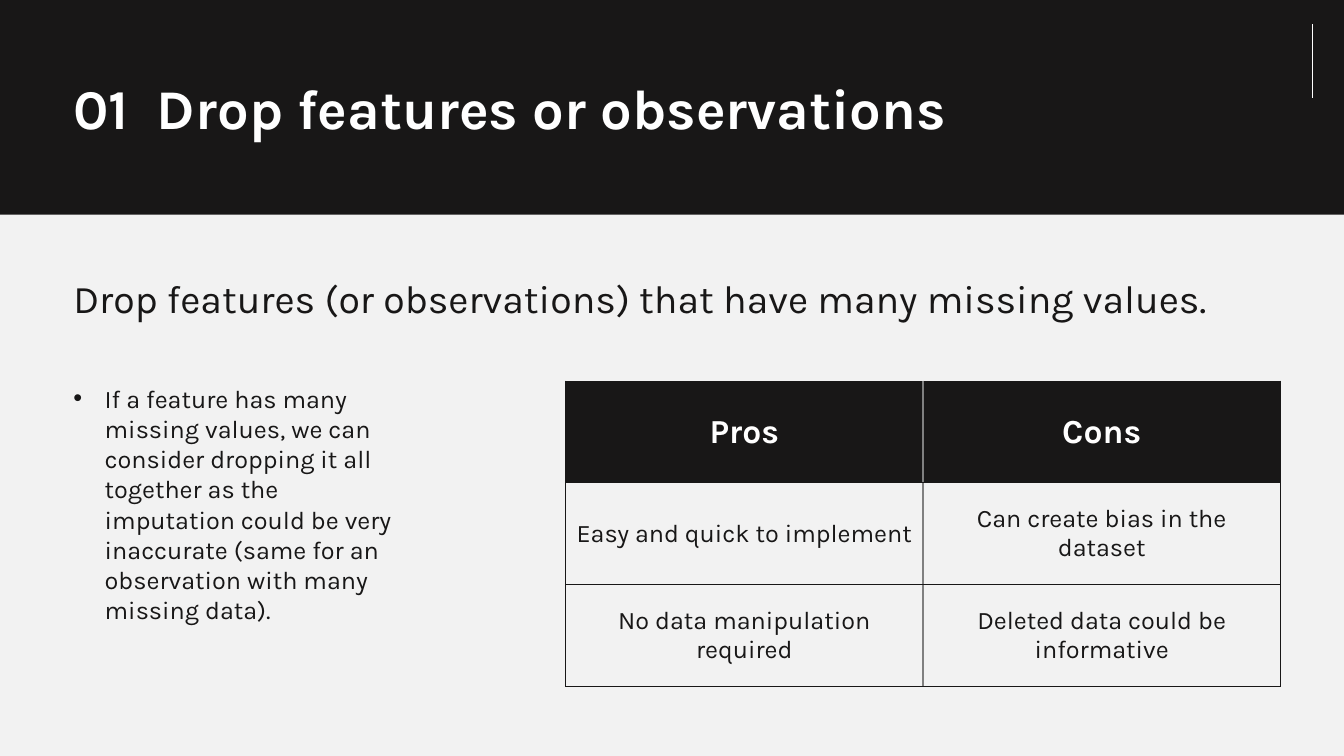
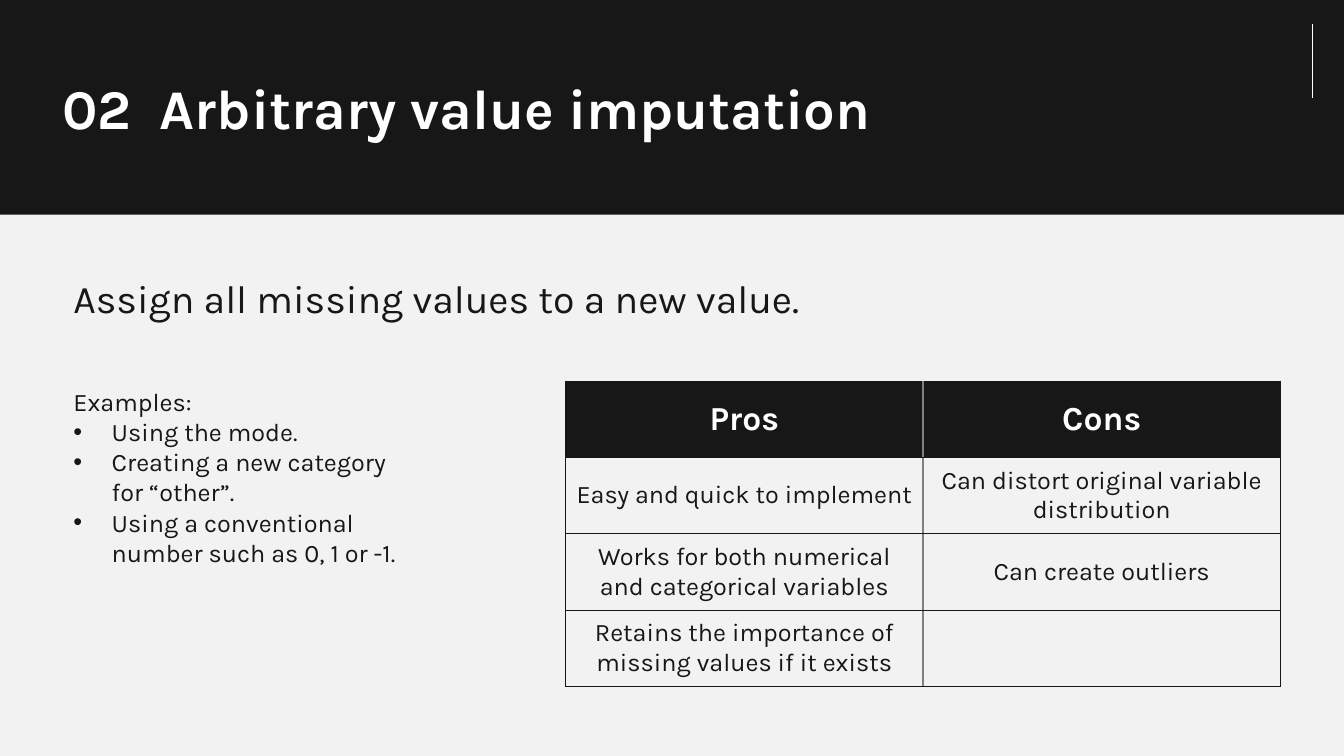
"""Two slides on handling missing data, each with a claim, notes and a pros and cons table."""
import pptx
import pptx.util
import pptx.dml.color
import pptx.enum.shapes
import pptx.enum.text
import pptx.oxml.ns
import lxml.etree

Inches, Pt = pptx.util.Inches, pptx.util.Pt
qn = pptx.oxml.ns.qn
RGB = pptx.dml.color.RGBColor.from_string
COLORS = {"ink": "181717", "paper": "F2F2F2", "white": "FFFFFF", "divider": "808080"}
FONT = "Karla"
BAND_HEIGHT = 2.13
TABLE_LEFT, TABLE_TOP, TABLE_WIDTH, TABLE_HEIGHT = 5.61, 3.78, 7.09, 3.03

CONTENT = [
    {
        "title": "01  Drop features or observations",
        "title_left": 0.63,
        "claim": "Drop features (or observations) that have many missing values.",
        "claim_width": 11.74,
        "notes_box": (0.63, 3.75, 3.45, 2.22),
        "notes": [
            (0.31, "If a feature has many missing values, we can consider dropping it all together "
                   "as the imputation could be very inaccurate (same for an observation with many "
                   "missing data)."),
        ],
        "rows": [
            ("Easy and quick to implement", "Can create bias in the dataset"),
            ("No data manipulation required", "Deleted data could be informative"),
        ],
    },
    {
        "title": "02  Arbitrary value imputation",
        "title_left": 0.52,
        "claim": "Assign all missing values to a new value.",
        "claim_width": 8.94,
        "notes_box": (0.63, 3.78, 3.61, 2.22),
        "notes": [
            (0, "Examples:"),
            (0.38, "Using the mode."),
            (0.38, "Creating a new category for “other”."),
            (0.38, "Using a conventional number such as 0, 1 or -1."),
        ],
        "rows": [
            ("Easy and quick to implement", "Can distort original variable distribution"),
            ("Works for both numerical and categorical variables", "Can create outliers"),
            ("Retains the importance of missing values if it exists", ""),
        ],
    },
]


def write(paragraph, text, size, color="ink", bold=False):
    run = paragraph.add_run()
    run.text = text
    run.font.name = FONT
    run.font.size = Pt(size)
    run.font.bold = bold
    run.font.color.rgb = RGB(COLORS[color])


def text_frame(slide, left, top, width, height):
    frame = slide.shapes.add_textbox(Inches(left), Inches(top), Inches(width), Inches(height)).text_frame
    frame.word_wrap = True
    return frame


deck = pptx.Presentation()
deck.slide_width, deck.slide_height = Inches(13.33), Inches(7.5)

for topic in CONTENT:
    slide = deck.slides.add_slide(deck.slide_layouts[6])
    slide.background.fill.solid()
    slide.background.fill.fore_color.rgb = RGB(COLORS["paper"])

    band = slide.shapes.add_shape(
        pptx.enum.shapes.MSO_SHAPE.RECTANGLE, 0, 0, deck.slide_width, Inches(BAND_HEIGHT))
    band.shadow.inherit = False
    band.fill.solid()
    band.fill.fore_color.rgb = RGB(COLORS["ink"])
    band.line.fill.background()

    title = text_frame(slide, topic["title_left"], 0.68, 12.07, 1.45)
    write(title.paragraphs[0], topic["title"], 40, "white", True)

    accent = slide.shapes.add_connector(
        pptx.enum.shapes.MSO_CONNECTOR.STRAIGHT, Inches(13.02), Inches(0.24), Inches(13.02), Inches(0.97))
    accent.line.color.rgb = RGB(COLORS["white"])
    accent.line.width = Pt(0.5)
    lxml.etree.SubElement(accent._element.spPr, qn("a:effectLst"))

    claim = text_frame(slide, 0.63, 2.67, topic["claim_width"], 0.57)
    write(claim.paragraphs[0], topic["claim"], 28)

    notes = text_frame(slide, *topic["notes_box"])
    for index, (indent, note) in enumerate(topic["notes"]):
        paragraph = notes.add_paragraph() if index else notes.paragraphs[0]
        if indent:
            properties = paragraph._p.get_or_add_pPr()
            properties.set("marL", str(Inches(indent)))
            properties.set("indent", str(-Inches(indent)))
            lxml.etree.SubElement(properties, qn("a:buFont"), typeface="Arial")
            lxml.etree.SubElement(properties, qn("a:buChar"), char="•")
        write(paragraph, note, 18)

    rows = [("Pros", "Cons")] + topic["rows"]
    table = slide.shapes.add_table(
        len(rows), 2, Inches(TABLE_LEFT), Inches(TABLE_TOP), Inches(TABLE_WIDTH), Inches(TABLE_HEIGHT)).table
    for r, row in enumerate(rows):
        for c, entry in enumerate(row):
            cell = table.cell(r, c)
            cell.vertical_anchor = pptx.enum.text.MSO_ANCHOR.MIDDLE
            inner_side = "a:lnL" if c else "a:lnR"
            for side in ("a:lnL", "a:lnR", "a:lnT", "a:lnB"):
                inner = side == inner_side
                border = lxml.etree.SubElement(
                    cell._tc.get_or_add_tcPr(), qn(side), w=str(Pt(1 if inner else 0.5)))
                fill = lxml.etree.SubElement(border, qn("a:solidFill"))
                lxml.etree.SubElement(
                    fill, qn("a:srgbClr"), val=COLORS["divider" if inner else "ink"])
            paragraph = cell.text_frame.paragraphs[0]
            paragraph.alignment = pptx.enum.text.PP_ALIGN.CENTER
            if r == 0:
                cell.fill.solid()
                cell.fill.fore_color.rgb = RGB(COLORS["ink"])
                write(paragraph, entry, 24, "white", True)
            else:
                cell.fill.background()
                if entry:
                    write(paragraph, entry, 18)

deck.save("out.pptx")
